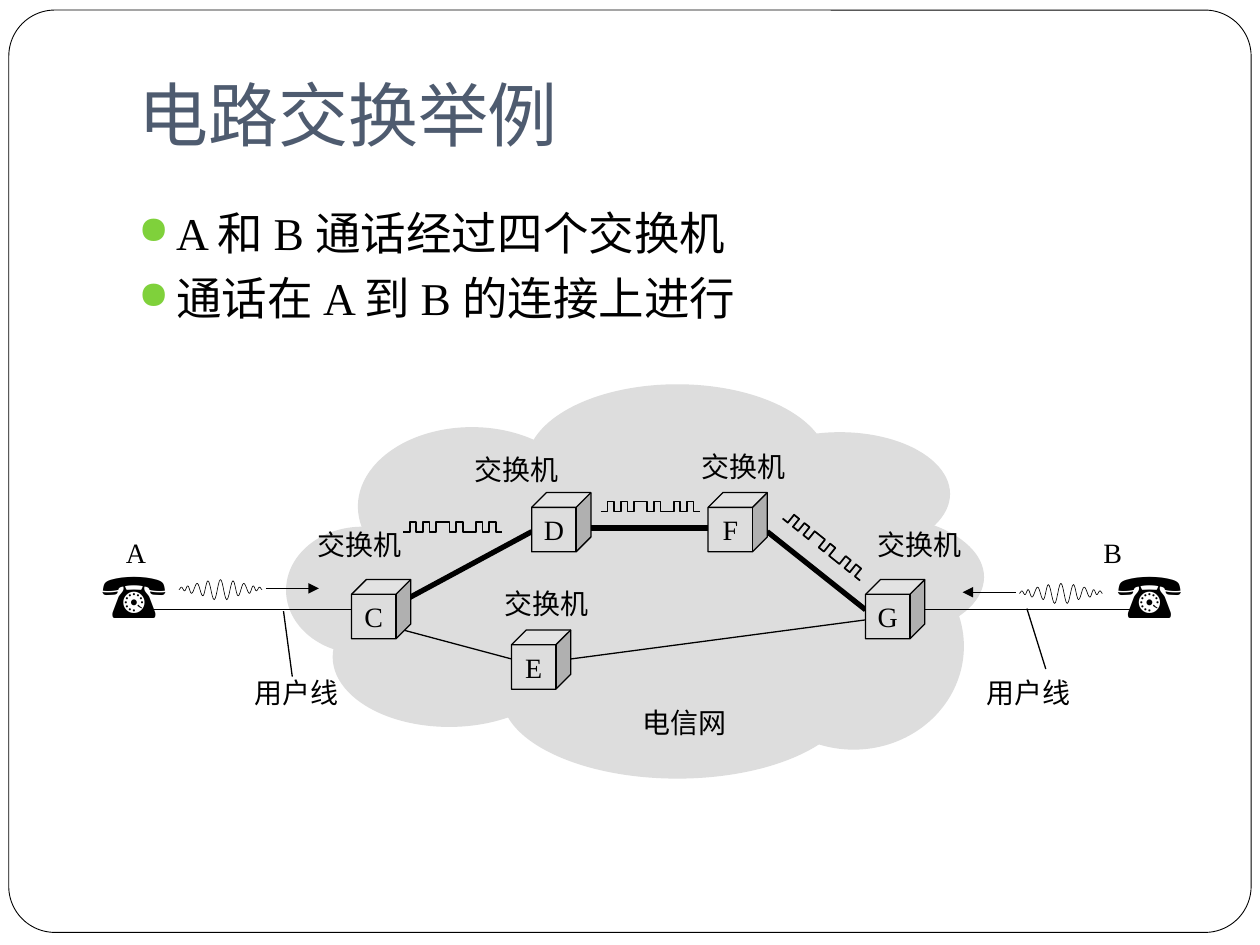
import math
from pptx import Presentation
from pptx import util as u
from pptx.dml.color import RGBColor
from pptx.enum import shapes, text
from pptx.oxml.ns import qn
from lxml import etree

INK = {"black": "000000", "white": "FFFFFF", "cloud": "DDDDDD",
       "title": "4E5B6F", "dot": "7FD13B"}
SERIF = "Times New Roman"
UNIT = u.Inches(10) // 100  # the grid has 100 columns and 75 rows
KIND = shapes.MSO_SHAPE

PUFFS = [(41.8, 30.5, 23.9, 12.6), (28.4, 33.9, 18.1, 12.6),
         (22.7, 41.8, 12.1, 10.1), (26.4, 46.6, 18.5, 11.1),
         (39.8, 48.5, 27.9, 13.3), (57.9, 34.3, 17.5, 9.8),
         (60.6, 40.9, 17.5, 9.8), (59, 43.1, 17.5, 16.4),
         (32.7, 38, 36, 16.4)]
SWITCHES = {"C": (27.9, 46), "D": (42.2, 39.1), "F": (56.2, 39.1),
            "G": (68.7, 46), "E": (40.6, 50)}
LABELS = [("电信网", 50, 55.5), ("交换机", 24.2, 41.4), ("交换机", 36.7, 35.4),
          ("交换机", 39.1, 46.1), ("交换机", 68.7, 41.4), ("交换机", 54.7, 35.2),
          ("用户线", 19.2, 53.1), ("用户线", 77.3, 53.1)]
THIN = [(11.9, 48.4, 28.6, 48.4), (72, 48.4, 89.8, 48.4),
        (68.7, 49.2, 45.3, 52.3), (40.6, 52.3, 32, 50),
        (22.5, 48.5, 23.2, 53.7), (81.5, 48.3, 83, 53.1)]
THICK = [(32, 47.7, 42.2, 42.2), (56.3, 41.9, 46.9, 41.9),
         (68.7, 48.4, 60.9, 42.2)]
BITS = "010101101001010"
# turning points of half a voice wave, from its middle to its end
PEAKS = [(0, -0.8), (0.5, 0.8), (1, -0.7), (1.4, 0.5), (1.85, -0.5),
         (2.3, 0.3), (2.6, -0.3), (2.85, 0.1), (3.1, -0.2), (3.3, 0)]
SPLIT = 2.1


def grid(*cells):
    return [round(c * UNIT) for c in cells]


def ink(name):
    return RGBColor.from_string(INK[name])


def stroke(item, width):
    item.line.color.rgb = ink("black")
    item.line.width = u.Pt(width)


def style(runs, size, font=SERIF, color="black"):
    for run in runs:
        run.font.size = u.Pt(size)
        run.font.name = font
        run.font.color.rgb = ink(color)


def add_text(tree, box, lines, size, wrap=False, **look):
    frame = tree.add_textbox(*grid(*box)).text_frame
    frame.word_wrap = wrap
    frame.text = lines
    for par in frame.paragraphs:
        style(par.runs, size, **look)
    return frame


def add_shape(tree, kind, box, fill, width=0):
    item = tree.add_shape(kind, *grid(*box))
    item.shadow.inherit = False
    item.fill.solid()
    item.fill.fore_color.rgb = ink(fill)
    if width:
        stroke(item, width)
    else:
        item.line.fill.background()
    return item


def add_line(tree, ends, width, arrow=False):
    item = tree.add_connector(shapes.MSO_CONNECTOR.STRAIGHT, *grid(*ends))
    stroke(item, width)
    if arrow:
        etree.SubElement(item.line._get_or_add_ln(), qn("a:tailEnd"),
                         type="triangle")
    etree.SubElement(item._element.spPr, qn("a:effectLst"))


def add_path(tree, points, width):
    first, *rest = [grid(*p) for p in points]
    pen = tree.build_freeform(*first)
    pen.add_line_segments(rest, close=False)
    item = pen.convert_to_shape()
    item.shadow.inherit = False
    item.fill.background()
    stroke(item, width)
    return item


def add_bullet(par):
    props = par._p.get_or_add_pPr()
    left = u.Inches(0.3)
    props.set("marL", str(left))
    props.set("indent", str(-left))
    color = etree.SubElement(props, qn("a:buClr"))
    etree.SubElement(color, qn("a:srgbClr"), val=INK["dot"])
    etree.SubElement(props, qn("a:buSzPct"), val="85000")
    etree.SubElement(props, qn("a:buChar"), char="●")


def add_pulse(tree, x, y, turn=0):
    """Draw the bits as a square wave whose low level starts at x, y."""
    step, rise = 0.525, 0.8
    points = []
    for i, bit in enumerate(BITS):
        level = y - rise * int(bit)
        points += [(x + i * step, level), (x + (i + 1) * step, level)]
    add_path(tree, points, 1).rotation = turn


def half_wave():
    """Join the turning points with cosine curves."""
    points = []
    for (x0, y0), (x1, y1) in zip(PEAKS, PEAKS[1:]):
        for i in range(6):
            t = i / 6
            ease = (1 - math.cos(math.pi * t)) / 2
            points.append((x0 + (x1 - x0) * t, y0 + (y1 - y0) * ease))
    return points + PEAKS[-1:]


def add_voice(tree, x, y, way):
    """Draw a voice wave centred at x, y and an arrow; way is 1 or -1."""
    group = tree.add_group_shape().shapes
    wave = half_wave()
    cut = sum(dx <= SPLIT for dx, _ in wave)
    for side in (-1, 1):
        for part in (wave[:cut], wave[cut - 1:]):
            add_path(group, [(x + side * dx, y + dy) for dx, dy in part], 0.38)
    row = y - 0.1
    add_line(group, (x + way * 3.6, row, x + way * 7.8, row), 0.75, arrow=True)


def add_switch(tree, name, x, y):
    cube = add_shape(tree, KIND.CUBE, (x, y, 4.7, 4.7), "cloud", 0.75)
    frame = cube.text_frame
    frame.word_wrap = False
    frame.vertical_anchor = text.MSO_ANCHOR.MIDDLE
    frame.text = name
    par = frame.paragraphs[0]
    par.alignment = text.PP_ALIGN.CENTER
    style(par.runs, 16)


def add_heads(tree):
    frame = add_text(tree, (10, 3, 85, 12.5), "电路交换举例", 40, wrap=True,
                     font="Lato", color="title")
    frame.vertical_anchor = text.MSO_ANCHOR.MIDDLE
    frame.margin_bottom = u.Inches(0.1)
    body = add_text(tree, (10, 15.8, 85, 50),
                    "A 和 B 通话经过四个交换机\n通话在 A 到 B 的连接上进行", 26, wrap=True)
    for par in body.paragraphs:
        par.space_before = u.Pt(5.8)
        add_bullet(par)


def main():
    deck = Presentation()
    deck.slide_width, deck.slide_height = grid(100, 75)
    tree = deck.slides.add_slide(deck.slide_layouts[6]).shapes

    frame = add_shape(tree, KIND.ROUNDED_RECTANGLE, (0.7, 0.8, 98.6, 73.2),
                      "white", 0.5)
    frame.adjustments[0] = 0.05
    add_heads(tree)

    cloud = tree.add_group_shape().shapes
    for box in PUFFS:
        add_shape(cloud, KIND.OVAL, box, "cloud")
    for ends in THIN:
        add_line(tree, ends, 0.75)
    for ends in THICK:
        add_line(tree, ends, 3)
    for x, name, left in ((7.1, "A", 9), (87.7, "B", 86.6)):
        add_text(tree, (x, 43.6, 7.6, 7), "☎", 36, wrap=True)
        add_text(tree, (left, 42, 3.6, 3.7), name, 16)
    for name, spot in SWITCHES.items():
        add_switch(tree, name, *spot)
    for name, x, y in LABELS:
        add_text(tree, (x, y, 8.7, 3.7), name, 16)
    add_voice(tree, 17.5, 46.8, 1)
    add_voice(tree, 84.2, 47.1, -1)
    for x, y, turn in ((32, 42.2, 0), (47.7, 40.6, 0), (61.5, 43.7, 38.7)):
        add_pulse(tree, x, y, turn)
    deck.save("out.pptx")


if __name__ == "__main__":
    main()
